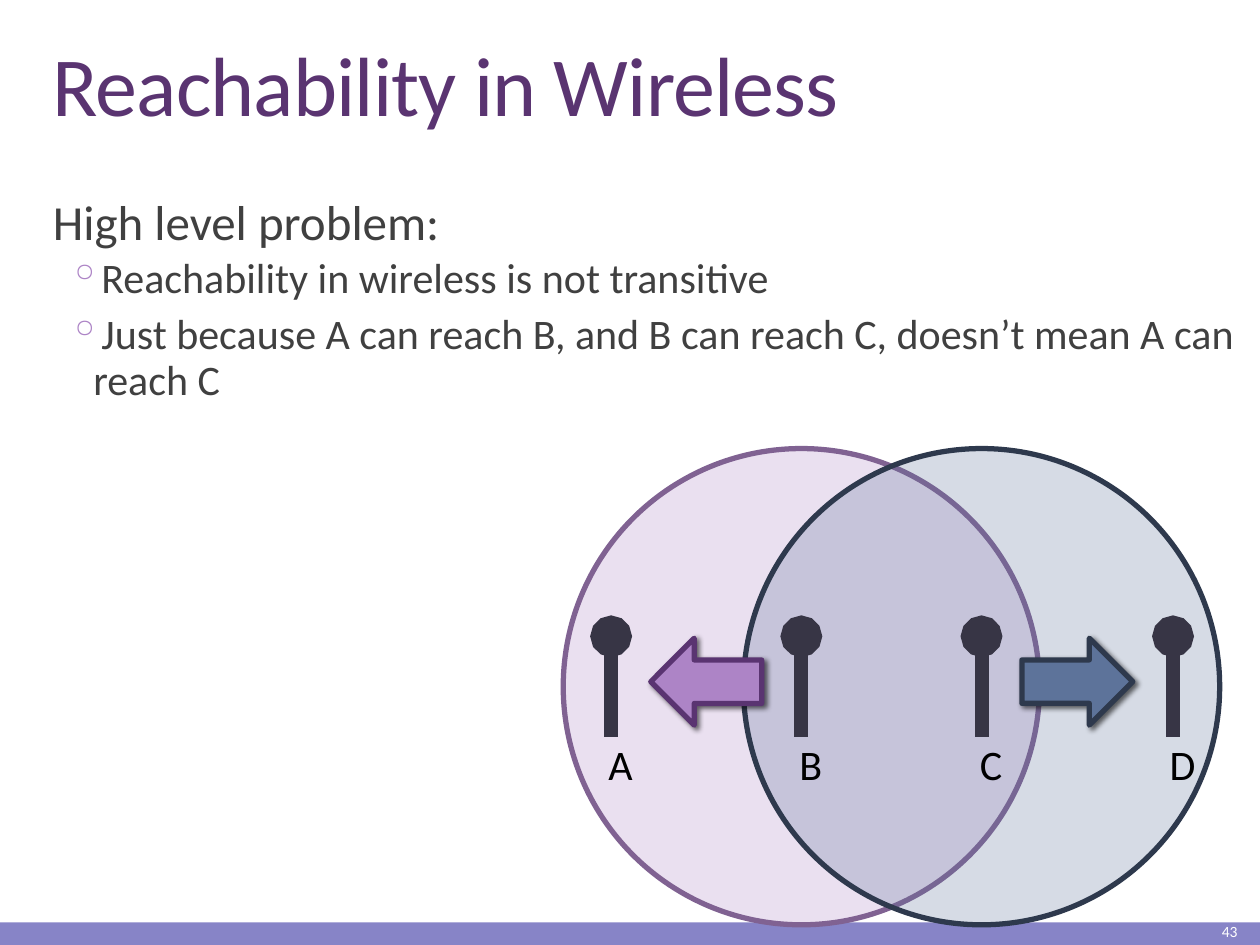
from dataclasses import dataclass

from lxml.etree import SubElement
from pptx import Presentation
from pptx.dml.color import RGBColor
from pptx.enum.shapes import MSO_CONNECTOR as Connector, MSO_SHAPE as Shape
from pptx.enum.text import MSO_ANCHOR as Anchor, PP_ALIGN as Align
from pptx.oxml.ns import qn
from pptx.util import Emu, Inches, Pt

# The grid: 100 columns by 75 rows on a slide of 10 by 7.5 inches
WIDTH, HEIGHT = Inches(10), Inches(7.5)
COLUMNS, ROWS = 100, 75


@dataclass(frozen=True)
class Theme:
    font: str = "Calibri"
    title: str = "5A3471"
    body: str = "404040"
    bullet: str = "AD84C6"
    band: str = "8784C7"
    white: str = "FFFFFF"
    black: str = "000000"
    mast: str = "373545"
    purple: str = "AD84C6"
    purple_ring: str = "806292"
    purple_edge: str = "5A3471"
    blue: str = "5D739A"
    blue_edge: str = "2E394D"
    title_size: float = 48
    lead_size: float = 28
    text_size: float = 24
    number_size: float = 8.9
    outline: float = 3
    mast_width: float = 8


THEME = Theme()

# Stations by column, and the rows that the diagram hangs on
STATIONS = {"A": 48.5, "B": 63.6, "C": 77.9, "D": 93.1}
MAST_TOP, MAST_BOTTOM = 50.5, 58.5
RANGE_ROW, RANGE_SIZE = 54.5, 37.8
ARROW_ROW, ARROW_WIDTH, ARROW_LENGTH = 54.1, 6.9, 8.8


def across(columns):
    return Emu(round(WIDTH * columns / COLUMNS))


def down(rows):
    return Emu(round(HEIGHT * rows / ROWS))


def place(left, top, width, height):
    return across(left), down(top), across(width), down(height)


def centred(column, row, width, height):
    return place(column - width / 2, row - height / 2, width, height)


def colour(value):
    return RGBColor.from_string(value)


# Text
def add_box(shapes, area, insets=(0.1, 0.05), anchor=Anchor.TOP, wrap=True):
    frame = shapes.add_textbox(*area).text_frame
    frame.word_wrap = wrap
    frame.vertical_anchor = anchor
    frame.margin_left = frame.margin_right = Inches(insets[0])
    frame.margin_top = frame.margin_bottom = Inches(insets[1])
    return frame


def write(para, text, size, ink, align=Align.LEFT):
    para.text = text
    para.alignment = align
    para.font.name = THEME.font
    para.font.size = Pt(size)
    para.font.color.rgb = colour(ink)


def set_spacing(para, line, before=0, after=0):
    para.line_spacing = line
    para.space_before = Pt(before)
    para.space_after = Pt(after)


def set_indent(para, margin, hanging=0, bullet=None):
    props = para._p.get_or_add_pPr()
    props.set("marL", str(Inches(margin)))
    props.set("indent", str(-Inches(hanging)))
    if bullet:
        ink = SubElement(props, qn("a:buClr"))
        SubElement(ink, qn("a:srgbClr"), val=THEME.bullet)
        SubElement(props, qn("a:buChar"), char=bullet)


def add_title(page, text):
    frame = add_box(page.shapes, place(3.2, 3.1, 94.8, 8), anchor=Anchor.BOTTOM)
    para = frame.paragraphs[0]
    set_spacing(para, 0.85)
    write(para, text, THEME.title_size, THEME.title)
    para._p.pPr.find(qn("a:defRPr")).set("spc", "-50")


def add_body(page, lead, points):
    frame = add_box(page.shapes, place(3.2, 15.2, 94.8, 52.4), insets=(0, 0.05))
    para = frame.paragraphs[0]
    set_indent(para, 0.1)
    set_spacing(para, 0.9, before=12, after=2)
    write(para, lead, THEME.lead_size, THEME.body)
    for point in points:
        para = frame.add_paragraph()
        set_indent(para, 0.42, hanging=0.2, bullet="◦")
        set_spacing(para, 0.9, before=2, after=4)
        write(para, point, THEME.text_size, THEME.body)


# Shapes
def add_filled(page, kind, area, fill, edge=None, opacity=None):
    shape = page.shapes.add_shape(kind, *area)
    shape.shadow.inherit = False
    shape.fill.solid()
    shape.fill.fore_color.rgb = colour(fill)
    if opacity:
        ink = shape._element.spPr.find(qn("a:solidFill"))[0]
        SubElement(ink, qn("a:alpha"), val=str(opacity * 1000))
    if edge:
        shape.line.color.rgb = colour(edge)
        shape.line.width = Pt(THEME.outline)
    else:
        shape.line.fill.background()
    return shape


def add_range(page, station, fill, edge):
    area = centred(STATIONS[station], RANGE_ROW, RANGE_SIZE, RANGE_SIZE)
    add_filled(page, Shape.OVAL, area, fill, edge, opacity=25)


def add_arrow(page, start, end, fill, edge):
    middle = (STATIONS[start] + STATIONS[end]) / 2
    area = centred(middle, ARROW_ROW, ARROW_WIDTH, ARROW_LENGTH)
    arrow = add_filled(page, Shape.UP_ARROW, area, fill, edge)
    arrow.rotation = 90 if STATIONS[end] > STATIONS[start] else 270
    effects = arrow._element.spPr.find(qn("a:effectLst"))
    shadow = SubElement(effects, qn("a:outerShdw"), blurRad=str(Pt(3)),
                        dist=str(Pt(2)), dir=str(45 * 60000), rotWithShape="0")
    ink = SubElement(shadow, qn("a:srgbClr"), val=THEME.black)
    SubElement(ink, qn("a:alpha"), val="60000")


def add_station(page, name, column):
    group = page.shapes.add_group_shape()
    mast = group.shapes.add_connector(
        Connector.STRAIGHT, across(column), down(MAST_TOP),
        across(column), down(MAST_BOTTOM))
    mast.line.color.rgb = colour(THEME.mast)
    mast.line.width = Pt(THEME.mast_width)
    SubElement(mast.line._get_or_add_ln(), qn("a:headEnd"), type="oval")
    SubElement(mast._element.spPr, qn("a:effectLst"))
    label = add_box(group.shapes, place(column - 0.5, 58.1, 2.5, 3.2),
                    insets=(0, 0.05), wrap=False)
    write(label.paragraphs[0], name, THEME.text_size, THEME.black, Align.CENTER)


def add_footer(page, number):
    add_filled(page, Shape.RECTANGLE, place(0, 73.2, COLUMNS, 1.8), THEME.band)
    frame = add_box(page.shapes, place(88.4, 72.8, 10.8, 2.2), anchor=Anchor.MIDDLE)
    write(frame.paragraphs[0], number, THEME.number_size, THEME.white, Align.RIGHT)


def main():
    deck = Presentation()
    deck.slide_width, deck.slide_height = WIDTH, HEIGHT
    page = deck.slides.add_slide(deck.slide_layouts[6])

    # Frame and text
    add_footer(page, "43")
    add_title(page, "Reachability in Wireless")
    add_body(page, "High level problem:", [
        "Reachability in wireless is not transitive",
        "Just because A can reach B, and B can reach C, "
        "doesn’t mean A can reach C",
    ])

    # Radio ranges, transmissions and stations
    add_range(page, "B", THEME.purple, THEME.purple_ring)
    add_range(page, "C", THEME.blue, THEME.blue_edge)
    add_arrow(page, "B", "A", THEME.purple, THEME.purple_edge)
    add_arrow(page, "C", "D", THEME.blue, THEME.blue_edge)
    for name, column in STATIONS.items():
        add_station(page, name, column)

    deck.save("out.pptx")


main()
